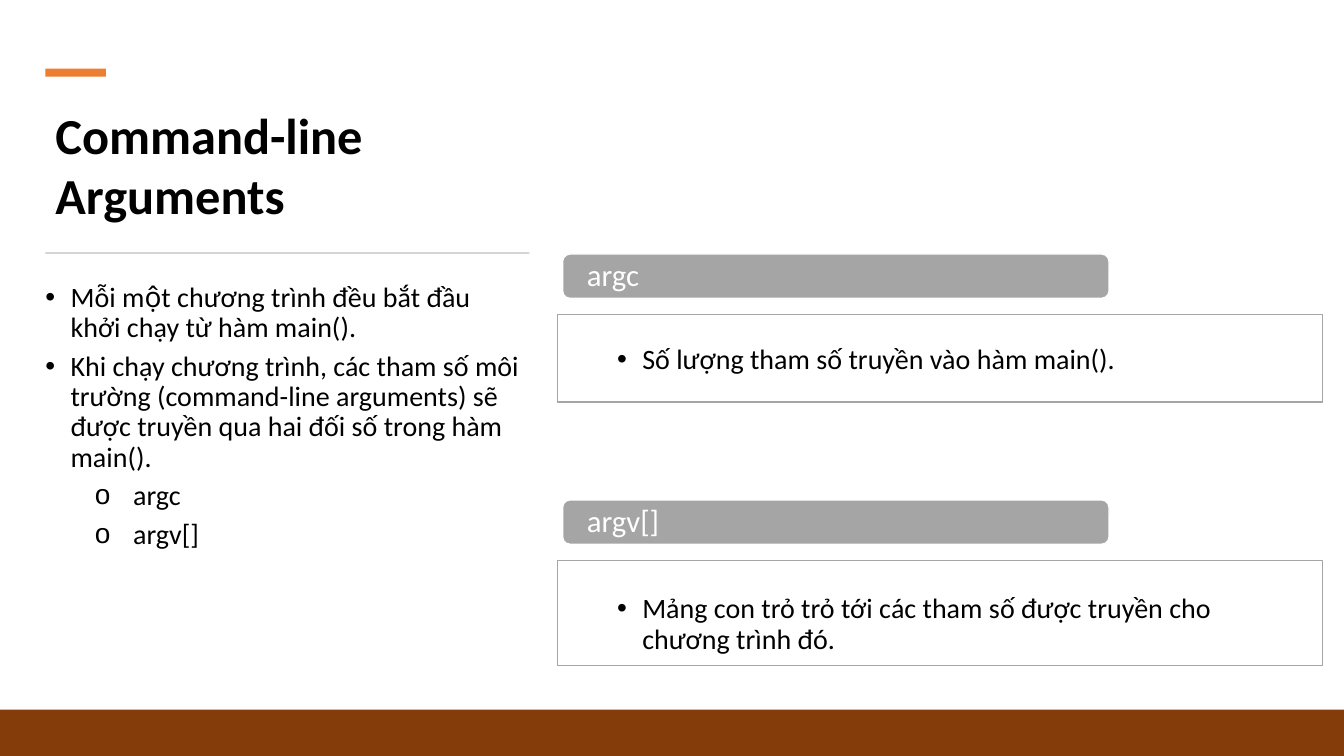
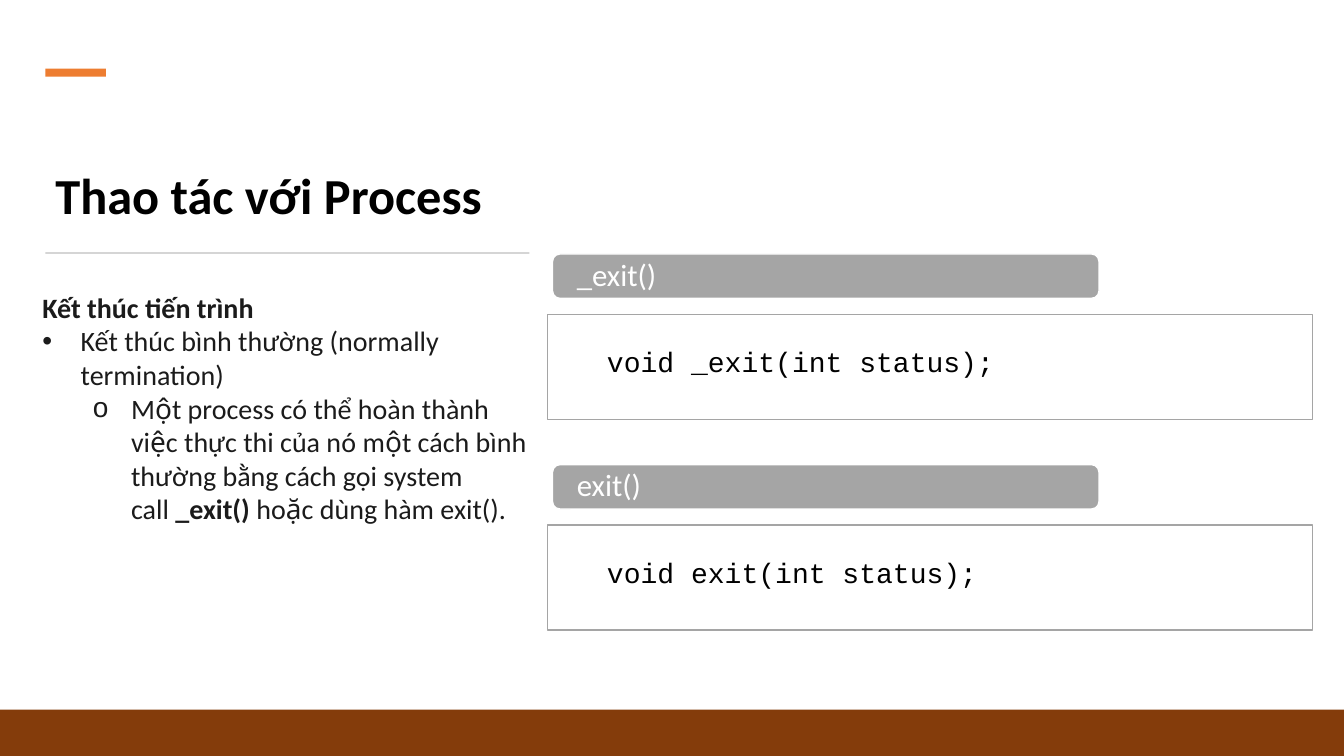
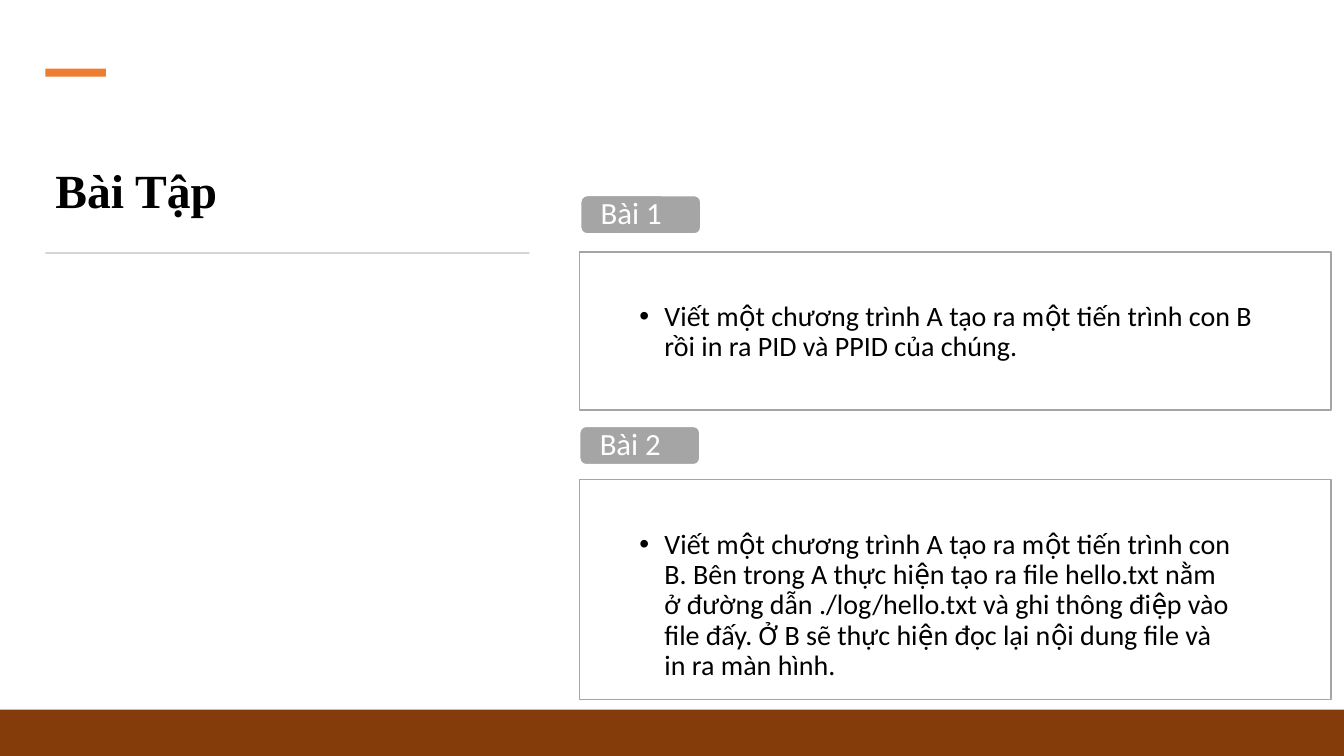
from pptx import Presentation
from pptx.dml.color import RGBColor
from pptx.enum import shapes, text
from pptx.oxml.ns import qn
from pptx.util import Inches, Pt
from lxml import etree

BLACK = RGBColor(0x00, 0x00, 0x00)
INK = RGBColor(0x1B, 0x1B, 0x1B)
WHITE = RGBColor(0xFF, 0xFF, 0xFF)
GRAY = RGBColor(0xA5, 0xA5, 0xA5)
RULE = RGBColor(0xD5, 0xD5, 0xD5)
ORANGE = RGBColor(0xED, 0x7D, 0x31)
BROWN = RGBColor(0x84, 0x3C, 0x0B)
RECT = shapes.MSO_SHAPE.RECTANGLE
ROUND = shapes.MSO_SHAPE.ROUNDED_RECTANGLE

# Vietnamese tone marks as separate combining characters
VOWELS = "aăâeêioôơuưy"
TONES = {0x300: "àằầèềìòồờùừỳ", 0x301: "áắấéếíóốớúứý",
         0x303: "ãẵẫẽễĩõỗỡũữỹ", 0x309: "ảẳẩẻểỉỏổởủửỷ",
         0x323: "ạặậẹệịọộợụựỵ"}
SPLIT = {}
for mark, row in TONES.items():
    for base, letter in zip(VOWELS, row):
        SPLIT[ord(letter)] = base + chr(mark)
        SPLIT[ord(letter.upper())] = base.upper() + chr(mark)
HARD = chr(160)  # no-break space, typed as ~


def write(frame, words, size=20, font="Calibri", color=BLACK, bold=False,
          space=0.9, after=0, left=0, hang=0, bullet=None, split=False):
    """Add one paragraph; words between ** marks are bold."""
    words = words.replace("~", HARD)
    if split:
        words = words.translate(SPLIT)
    para = frame.paragraphs[0]
    if para.runs:
        para = frame.add_paragraph()
    para.alignment = text.PP_ALIGN.LEFT
    para.line_spacing = space
    para.space_before = Pt(0)
    para.space_after = Pt(after)
    for i, part in enumerate(words.split("**")):
        run = para.add_run()
        run.text = part
        run.font.size = Pt(size)
        run.font.name = font
        run.font.bold = bold or i % 2 == 1
        run.font.color.rgb = color
    # Indent and bullet
    props = para._p.get_or_add_pPr()
    props.set("marL", str(Inches(left)))
    props.set("indent", str(Inches(-hang)))
    if bullet:
        etree.SubElement(props, qn("a:buFont")).set("typeface", "Arial")
        etree.SubElement(props, qn("a:buChar")).set("char", bullet)
    else:
        etree.SubElement(props, qn("a:buNone"))


class Deck:
    def __init__(self):
        self.prs = Presentation()
        self.prs.slide_width = Inches(13.33)
        self.prs.slide_height = Inches(7.5)
        self.slide = None

    def start(self, title, layout=1, top=1.09, size=36, **style):
        """Open a slide with its title and the shared bars."""
        self.slide = self.prs.slides.add_slide(self.prs.slide_layouts[layout])
        frame = self.place(self.slide.shapes.title, 0.45, top, 4.86, 1.19)
        frame.vertical_anchor = text.MSO_ANCHOR.BOTTOM
        write(frame, title, size=size, bold=True, **style)
        self.shape(RECT, 0.45, 0.68, 0.6, 0.08, ORANGE)
        self.shape(RECT, 0.45, 2.5, 4.8, 0.02, RULE)
        self.shape(RECT, 0, 7.04, 13.33, 0.46, BROWN)

    def place(self, holder, x, y, w, h):
        holder.left, holder.top = Inches(x), Inches(y)
        holder.width, holder.height = Inches(w), Inches(h)
        frame = holder.text_frame
        frame.word_wrap = True
        frame.auto_size = text.MSO_AUTO_SIZE.NONE
        return frame

    def body(self, x, y, w, h):
        frame = self.place(self.slide.placeholders[1], x, y, w, h)
        frame.vertical_anchor = text.MSO_ANCHOR.TOP
        return frame

    def shape(self, kind, x, y, w, h, fill, line=None):
        box = self.slide.shapes.add_shape(
            kind, Inches(x), Inches(y), Inches(w), Inches(h))
        box.shadow.inherit = False
        box.fill.solid()
        box.fill.fore_color.rgb = fill
        if line is None:
            box.line.fill.background()
        else:
            box.line.color.rgb = line
            box.line.width = Pt(1)
        return box

    def inset(self, box, left, top, right):
        frame = box.text_frame
        frame.word_wrap = True
        frame.margin_left, frame.margin_right = Inches(left), Inches(right)
        frame.margin_top, frame.margin_bottom = Inches(top), Inches(0)
        return frame

    def label(self, words, x, y, w, h, pad, **style):
        box = self.shape(ROUND, x, y, w, h, GRAY, WHITE)
        frame = self.inset(box, pad, 0, pad)
        frame.vertical_anchor = text.MSO_ANCHOR.MIDDLE
        write(frame, words, size=22, color=WHITE, **style)

    def card(self, words, x, y, w, h, top=0.34, right=0.59, **style):
        box = self.shape(RECT, x, y, w, h, WHITE, GRAY)
        tint = box.fill._xPr.find(".//" + qn("a:srgbClr"))
        etree.SubElement(tint, qn("a:alpha")).set("val", "90000")
        frame = self.inset(box, 0.59, top, right)
        frame.vertical_anchor = text.MSO_ANCHOR.TOP
        write(frame, words, **style)

    def topic(self, name, words, x, y, h, **style):
        """A wide label with its card below."""
        self.card(words, x, y + 0.6, 7.59, h, **style)
        self.label(name, x + 0.05, y, 5.42, 0.44, 0.22)


def main():
    deck = Deck()
    dot = dict(left=0.25, hang=0.25, bullet="•")

    # Command-line arguments
    deck.start("Command-line Arguments", space=1.0)
    frame = deck.body(0.22, 2.76, 5.09, 3.82)
    for words in (
            "Mỗi một chương trình đều bắt đầu khởi chạy từ hàm main().",
            "Khi chạy chương trình, các tham số môi trường (command-line "
            "arguments) sẽ được truyền qua hai đối số trong hàm main()."):
        write(frame, words, after=6, left=0.38, hang=0.25, bullet="•",
              split=True)
    for words in ("argc", "argv[]"):
        write(frame, words, after=6, left=1, hang=0.38, bullet="o")
    deck.topic("argc", "Số lượng tham số truyền vào hàm main().",
               5.53, 2.52, 0.87, top=0.31, **dot)
    deck.topic("argv[]", "Mảng con trỏ trỏ tới các tham số được truyền cho "
               "chương trình đó.", 5.53, 4.96, 1.04, **dot)

    # Ending a process
    deck.start("Thao tác với Process", space=1.0)
    frame = deck.body(0.32, 2.83, 5.1, 3.49)
    plain = dict(color=INK, space=1.0, split=True)
    write(frame, "Kết thúc tiến trình", bold=True, **plain)
    write(frame, "Kết thúc bình thường (normally termination)",
          left=0.38, hang=0.38, bullet="•", **plain)
    write(frame, "Một process có thể hoàn thành việc thực thi của nó một cách "
          "bình thường~bằng cách gọi system call~**_exit()** hoặc dùng "
          "hàm exit().", left=0.88, hang=0.38, bullet="o", **plain)
    for name, y in (("_exit()", 2.52), ("exit()", 4.61)):
        code = "void " + name.replace("()", "(int status);")
        deck.topic(name, code, 5.43, y, 1.04, font="Courier New")

    # Exercises
    deck.start("Bài Tập", layout=5, top=1.03, size=34,
               font="Times New Roman", after=6, split=True)
    deck.card("Viết một chương trình A tạo ra một tiến trình con B rồi in ra "
              "PID và PPID của chúng.", 5.75, 2.5, 7.45, 1.57, top=0.5,
              split=True, **dot)
    deck.label("Bài 1", 5.76, 1.94, 1.19, 0.38, 0.18, split=True)
    deck.card("Viết một chương trình A tạo ra một tiến trình con B. Bên trong "
              "A thực hiện tạo ra file hello.txt nằm ở đường dẫn "
              "./log/hello.txt và ghi thông điệp vào file đấy. Ở B sẽ thực "
              "hiện đọc lại nội dung file và in ra màn hình.",
              5.75, 4.76, 7.45, 2.18, top=0.5, right=0.96, split=True, **dot)
    deck.label("Bài 2", 5.75, 4.23, 1.19, 0.38, 0.18, split=True)

    deck.prs.save("out.pptx")


if __name__ == "__main__":
    main()
